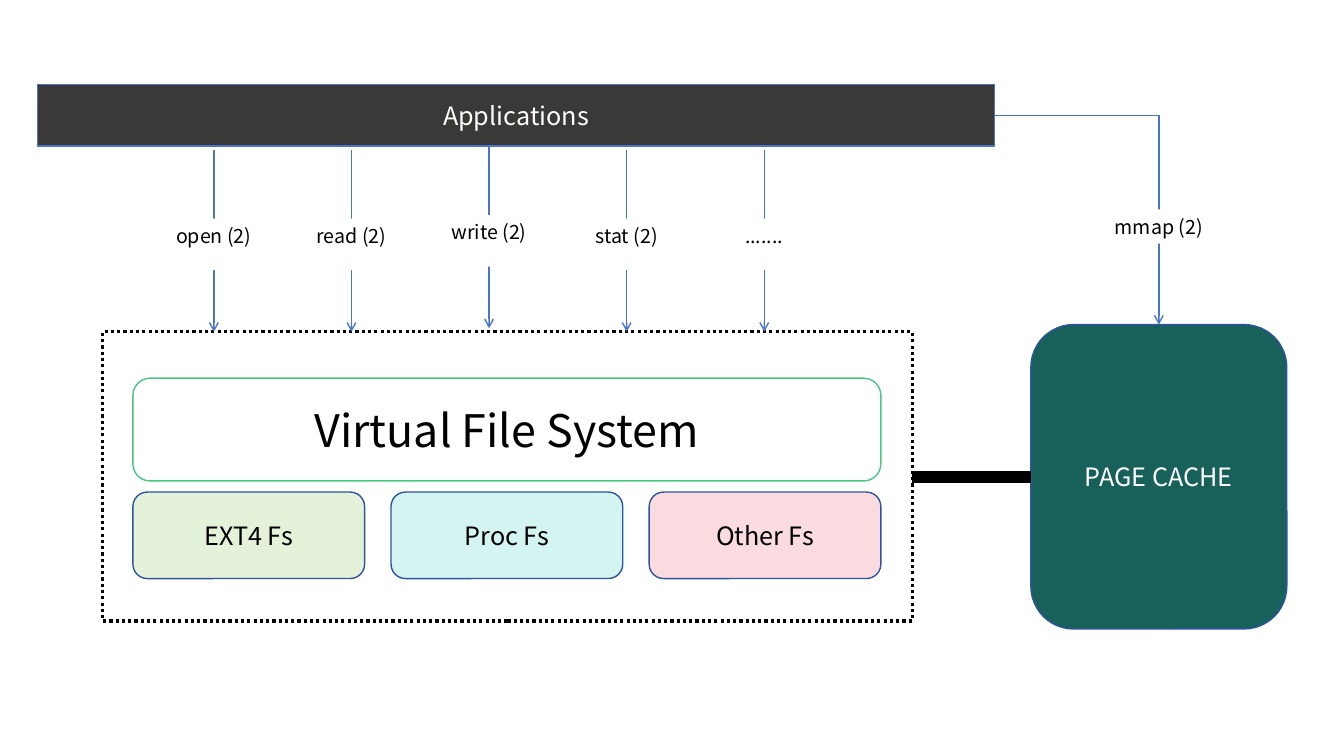
import pptx
import pptx.dml.color
import pptx.enum.dml
import pptx.enum.shapes
import pptx.enum.text
import pptx.oxml
import pptx.oxml.ns
import pptx.util
from pptx.util import Cm

RGBColor = pptx.dml.color.RGBColor
Anchor = pptx.enum.text.MSO_ANCHOR
Preset = pptx.enum.shapes.MSO_SHAPE
ConnectorType = pptx.enum.shapes.MSO_CONNECTOR

BLACK = RGBColor(0x00, 0x00, 0x00)
WHITE = RGBColor(0xFF, 0xFF, 0xFF)
CHARCOAL = RGBColor(0x3B, 0x38, 0x38)
BLUE = RGBColor(0x48, 0x74, 0xCB)
DARK_BLUE = RGBColor(0x2E, 0x54, 0xA1)
GREEN = RGBColor(0x46, 0xC8, 0x82)
TEAL = RGBColor(0x18, 0x60, 0x5A)
PALE_GREEN = RGBColor(0xE3, 0xF2, 0xD9)
PALE_CYAN = RGBColor(0xD4, 0xF4, 0xF2)
PALE_PINK = RGBColor(0xFA, 0xDB, 0xDF)

FONT = "Noto Sans CJK JP"
SYSTEM_CALLS = ["open (2)", "read (2)", "write (2)", "stat (2)", "......."]
FILE_SYSTEMS = [("EXT4 Fs", PALE_GREEN), ("Proc Fs", PALE_CYAN), ("Other Fs", PALE_PINK)]


def write_text(shape, text, size=18, color=BLACK, anchor=Anchor.MIDDLE):
    frame = shape.text_frame
    frame.word_wrap = True
    frame.vertical_anchor = anchor
    paragraph = frame.paragraphs[0]
    paragraph.alignment = pptx.enum.text.PP_ALIGN.CENTER
    run = paragraph.add_run()
    run.text = text
    run.font.name = FONT
    run.font.size = pptx.util.Pt(size)
    run.font.color.rgb = color


def add_box(slide, preset, box, fill=None, line=None, line_width=1):
    """Add a shape at box (left, top, width, height in cm); None means no fill or line."""
    shape = slide.shapes.add_shape(preset, *map(Cm, box))
    shape.shadow.inherit = False
    if fill is None:
        shape.fill.background()
    else:
        shape.fill.solid()
        shape.fill.fore_color.rgb = fill
    if line is None:
        shape.line.fill.background()
    else:
        shape.line.color.rgb = line
        shape.line.width = pptx.util.Pt(line_width)
    return shape


def add_line(slide, start, end, color=BLUE, width=1, arrow=True, bent=False):
    """Join two points in cm; a bent line runs across first, then down."""
    kind = ConnectorType.ELBOW if bent else ConnectorType.STRAIGHT
    connector = slide.shapes.add_connector(kind, *map(Cm, start + end))
    connector.line.color.rgb = color
    connector.line.width = pptx.util.Pt(width)
    properties = connector._element.spPr
    if bent:
        properties.find(pptx.oxml.ns.qn("a:prstGeom")).set("prst", "bentConnector2")
    if arrow:
        outline = connector.line._get_or_add_ln()
        outline.append(pptx.oxml.parse_xml(
            f'<a:tailEnd {pptx.oxml.ns.nsdecls("a")} type="arrow"/>'))
    properties.append(pptx.oxml.parse_xml(
        f'<a:effectLst {pptx.oxml.ns.nsdecls("a")}/>'))


def add_call_label(slide, text, center, top, width, height):
    label = add_box(slide, Preset.RECTANGLE,
                    (center - width / 2, top, width, height), fill=WHITE)
    write_text(label, text, size=14, anchor=Anchor.TOP)


def add_file_system_layer(slide, box):
    left, top, width, height = box
    inner_left, inner_width = left + 0.76, 18.85
    virtual = add_box(slide, Preset.ROUNDED_RECTANGLE,
                      (inner_left, top + 1.17, inner_width, 2.59), line=GREEN)
    write_text(virtual, "Virtual File System", size=32)

    block_width = 5.84
    pitch = (inner_width - block_width) / (len(FILE_SYSTEMS) - 1)
    for index, (name, fill) in enumerate(FILE_SYSTEMS):
        block = add_box(slide, Preset.ROUNDED_RECTANGLE,
                        (inner_left + index * pitch, top + 4.04, block_width, 2.18),
                        fill=fill, line=DARK_BLUE)
        write_text(block, name)

    frame = add_box(slide, Preset.RECTANGLE, box, line=BLACK, line_width=2.25)
    frame.line.dash_style = pptx.enum.dml.MSO_LINE.ROUND_DOT


def add_applications(slide, box):
    bar = add_box(slide, Preset.RECTANGLE, box, fill=CHARCOAL, line=BLUE)
    write_text(bar, "Applications", color=WHITE)


def add_system_calls(slide, box):
    """Spread the call arrows over box, from the first arrow to the last."""
    left, top, width, height = box
    pitch = width / (len(SYSTEM_CALLS) - 1)
    for index, call in enumerate(SYSTEM_CALLS):
        center = left + index * pitch
        call_top = top - 0.09 if call == "write (2)" else top
        add_line(slide, (center, call_top), (center, call_top + height))
        add_call_label(slide, call, center, call_top + 1.74, 3.45, 1.3)


def add_page_cache(slide, box, applications, layer):
    """Add the cache at box, tied to the layer and reached from the applications bar."""
    left, top, width, height = box
    cache = add_box(slide, Preset.ROUNDED_RECTANGLE, box, fill=TEAL, line=DARK_BLUE)
    write_text(cache, "PAGE CACHE", color=WHITE)

    middle = top + height / 2
    add_line(slide, (layer[0] + layer[2], middle), (left, middle),
             color=BLACK, width=9, arrow=False)

    center = left + width / 2
    bar_left, bar_top, bar_width, bar_height = applications
    add_line(slide, (bar_left + bar_width, bar_top + bar_height / 2),
             (center, top), bent=True)
    add_call_label(slide, "mmap (2)", center, top - 2.9, 4.47, 0.86)


def main():
    presentation = pptx.Presentation()
    presentation.slide_width = Cm(33.87)
    presentation.slide_height = Cm(19.05)
    slide = presentation.slides.add_slide(presentation.slide_layouts[6])

    applications = (0.94, 2.13, 24.13, 1.55)
    layer = (2.59, 8.36, 20.4, 7.29)
    add_file_system_layer(slide, layer)
    add_applications(slide, applications)
    add_system_calls(slide, (5.39, 3.77, 13.87, 4.59))
    add_page_cache(slide, (25.98, 8.18, 6.45, 7.67), applications, layer)
    presentation.save("out.pptx")


if __name__ == "__main__":
    main()
